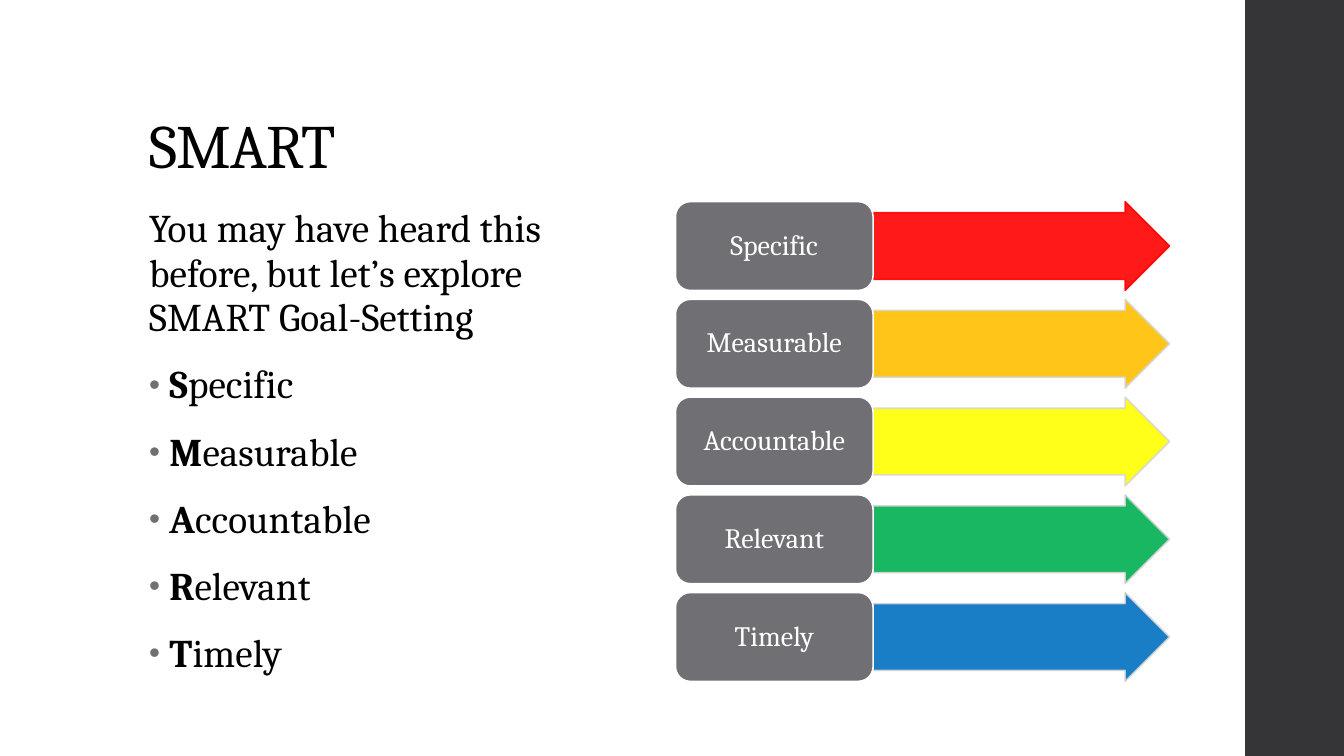
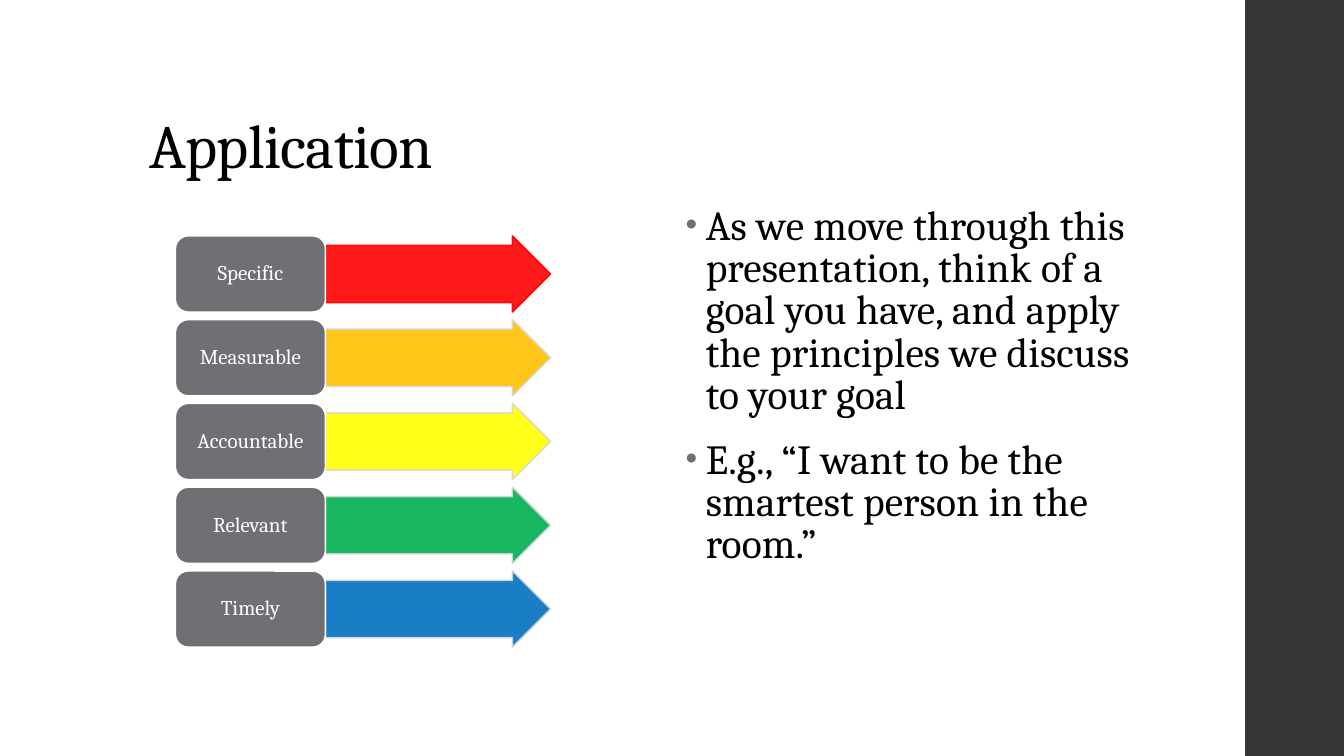
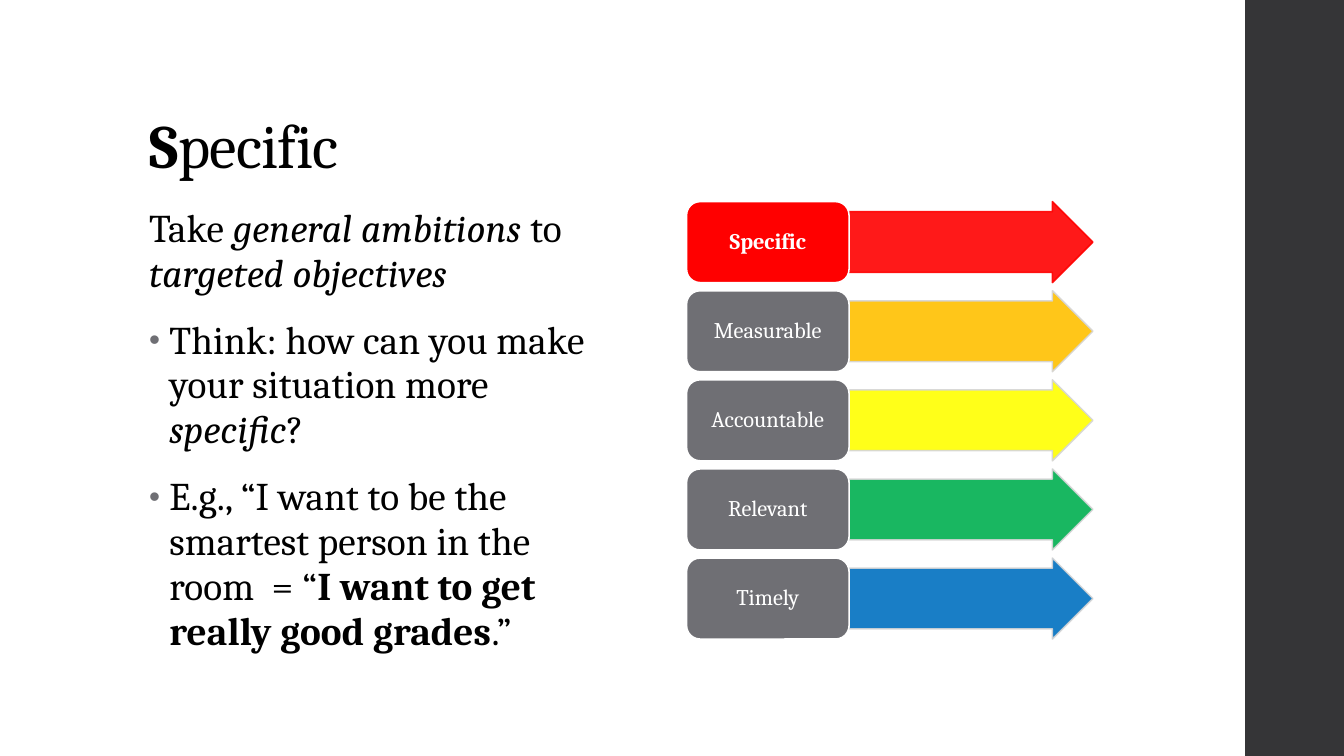
from lxml import etree
from pptx import Presentation
from pptx.dml.color import RGBColor
from pptx.enum.shapes import MSO_SHAPE
from pptx.enum.text import MSO_ANCHOR, MSO_AUTO_SIZE, PP_ALIGN
from pptx.oxml.ns import qn
from pptx.util import Inches, Pt

RECT, ROUND, ARROW = (MSO_SHAPE.RECTANGLE, MSO_SHAPE.ROUNDED_RECTANGLE,
                      MSO_SHAPE.RIGHT_ARROW)
BOTTOM, MIDDLE, TOP = MSO_ANCHOR.BOTTOM, MSO_ANCHOR.MIDDLE, MSO_ANCHOR.TOP
LEFT, CENTER = PP_ALIGN.LEFT, PP_ALIGN.CENTER
NO_FIT = MSO_AUTO_SIZE.NONE

BLACK = RGBColor(0, 0, 0)
WHITE = RGBColor(255, 255, 255)
DARK = RGBColor(0x35, 0x35, 0x37)
GRAY = RGBColor(0x6F, 0x6F, 0x74)
PALE = RGBColor(0xD5, 0xD5, 0xD6)
RED = RGBColor(0xFF, 0, 0)
AMBER = RGBColor(0xFF, 0xC0, 0)
YELLOW = RGBColor(0xFF, 0xFF, 0)
GREEN = RGBColor(0, 0xB0, 0x50)
BLUE = RGBColor(0, 0x70, 0xC0)
FONT = "Cambria"

STEPS = [("Specific", RED), ("Measurable", AMBER), ("Accountable", YELLOW),
         ("Relevant", GREEN), ("Timely", BLUE)]

# A run is (text, style), with b for bold and i for italic.
# A paragraph is (bullet, runs); areas are left, top, width, height.
SLIDES = [
    dict(title=[("SMART", "")],
         body=[(False, [("You may have heard this before, but let’s explore "
                         "SMART Goal-Setting", "")])]
         + [(True, [(name[0], "b"), (name[1:], "")]) for name, _ in STEPS],
         area=(1.38, 2, 5.02, 5.5), size=28, lead=0.95,
         steps=(6.7, 2, 4.9, 4.76), label=20, focus=None),
    dict(title=[("Application", "")],
         body=[(True, [("As we move through this presentation, think of a goal "
                        "you have, and apply the principles we discuss to your "
                        "goal", "")]),
               (True, [("E.g., “I want to be the smartest person in the "
                        "room.”", "")])],
         area=(6.7, 2, 4.9, 4.42), size=29.6, lead=0.85,
         steps=(1.74, 2.34, 3.72, 4.08), label=15, focus=None),
    dict(title=[("S", "b"), ("pecific", "")],
         body=[(False, [("Take ", ""), ("general ambitions ", "i"), ("to ", ""),
                        ("targeted objectives", "i")]),
               (True, [("Think: how can you make your situation more ", ""),
                       ("specific", "i"), ("?", "")]),
               (True, [("E.g., “I want to be the smartest person in the "
                        "room  = “", ""),
                       ("I want to get really good grades", "b"),
                       (".”", "")])],
         area=(1.38, 2, 4.9, 4.76), size=28, lead=0.95,
         steps=(6.81, 2, 4.03, 4.34), label=16, focus="Specific"),
]


def place(shape, area):
    """Move and size a shape to an area in inches."""
    shape.left, shape.top, shape.width, shape.height = map(Inches, area)


def write(para, runs, size, color=BLACK, track=0):
    """Add styled runs to a paragraph; track is in hundredths of a point."""
    for text, style in runs:
        run = para.add_run()
        run.text = text
        font = run.font
        font.name, font.size, font.color.rgb = FONT, Pt(size), color
        font.bold, font.italic = "b" in style, "i" in style
        if track:
            run._r.get_or_add_rPr().set("spc", str(track))


def mark(para, bullet):
    """Give a paragraph a hanging grey bullet, or none."""
    props = para._p.get_or_add_pPr()
    hang = Inches(0.2) if bullet else 0
    props.set("marL", str(hang))
    props.set("indent", str(-hang))
    if not bullet:
        etree.SubElement(props, qn("a:buNone"))
        return
    tint = etree.SubElement(props, qn("a:buClr"))
    etree.SubElement(tint, qn("a:srgbClr"), val=str(GRAY))
    etree.SubElement(props, qn("a:buSzPct"), val="80000")
    etree.SubElement(props, qn("a:buFont"), typeface="Arial")
    etree.SubElement(props, qn("a:buChar"), char="•")


def draw(shapes, kind, area, fill, line=None):
    """Add a flat preset shape with a fill and an optional outline."""
    shape = shapes.add_shape(kind, *map(Inches, area))
    shape.shadow.inherit = False
    shape.fill.solid()
    shape.fill.fore_color.rgb = fill
    if line is None:
        shape.line.fill.background()
    else:
        shape.line.color.rgb = line
        shape.line.width = Pt(1.1)
    return shape


def fade(shape):
    """Make the fill and outline of a shape 90% opaque."""
    for color in list(shape._element.iter(qn("a:srgbClr"))):
        etree.SubElement(color, qn("a:alpha"), val="90000")


def ladder(slide, area, size, focus):
    """Draw the five labels with their arrows; the focus label is red."""
    left, top, width, height = area
    tall = height / (len(STEPS) * 1.1 - 0.1)
    split = width * 0.4
    shapes = slide.shapes.add_group_shape().shapes
    for row, (name, color) in enumerate(STEPS):
        y = top + row * tall * 1.1
        arrow = draw(shapes, ARROW, (left + split, y, width - split, tall),
                     color, RED if color == RED else PALE)
        arrow.adjustments[0] = 0.75
        fade(arrow)
        live = name == focus
        box = draw(shapes, ROUND, (left, y, split, tall),
                   RED if live else GRAY, WHITE)
        frame = box.text_frame
        frame.word_wrap, frame.vertical_anchor = True, MIDDLE
        frame.margin_left = frame.margin_right = Inches(0.1)
        para = frame.paragraphs[0]
        para.alignment, para.line_spacing = CENTER, 0.9
        write(para, [(name, "b" if live else "")], size, WHITE)


def shared(layout):
    """Set the title place and the side band that all slides share."""
    place(layout.placeholders[0], (1.38, 0.4, 10.6, 1.45))
    slide = deck.slides[0]
    band = draw(slide.shapes, RECT, (12.35, 0, 0.98, 7.5), DARK)
    layout.shapes.element.append(band._element)


def build(slide, page):
    """Fill one slide with its title, list and ladder."""
    frame = slide.shapes.title.text_frame
    frame.vertical_anchor, frame.auto_size = BOTTOM, NO_FIT
    para = frame.paragraphs[0]
    para.alignment, para.line_spacing = LEFT, 0.9
    write(para, page["title"], 44, track=-50)

    body = slide.placeholders[1]
    place(body, page["area"])
    frame = body.text_frame
    frame.vertical_anchor, frame.auto_size = TOP, NO_FIT
    for index, (bullet, runs) in enumerate(page["body"]):
        para = frame.add_paragraph() if index else frame.paragraphs[0]
        para.line_spacing = page["lead"]
        para.space_before, para.space_after = Pt(14), Pt(2)
        mark(para, bullet)
        write(para, runs, page["size"], track=10)

    ladder(slide, page["steps"], page["label"], page["focus"])


deck = Presentation()
deck.slide_width, deck.slide_height = Inches(13.33), Inches(7.5)
layout = deck.slide_layouts[1]
for page in SLIDES:
    build(deck.slides.add_slide(layout), page)
shared(layout)
deck.save("out.pptx")
